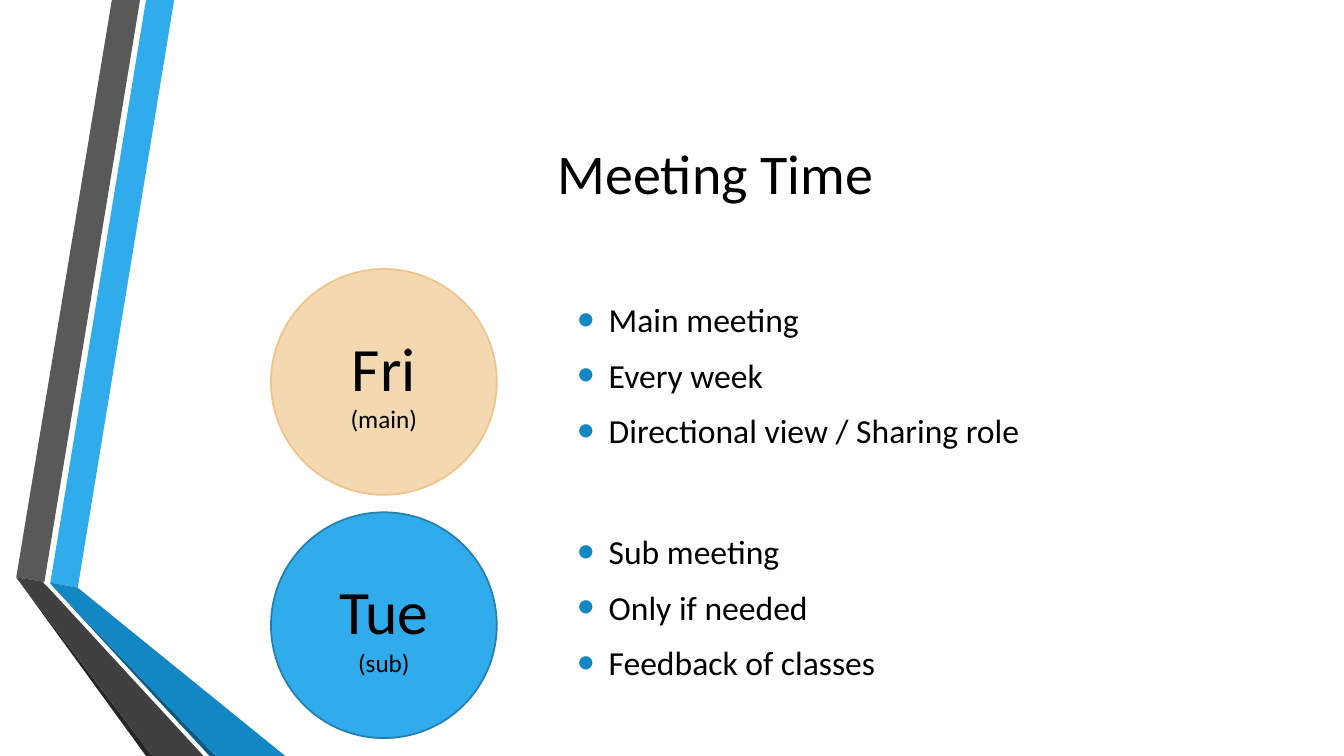
"""Build the Meeting Time slide with two day circles and their notes."""
from dataclasses import dataclass

from lxml import etree
from pptx import Presentation
from pptx.dml.color import RGBColor
from pptx.enum.shapes import MSO_SHAPE
from pptx.enum.text import MSO_ANCHOR, PP_ALIGN
from pptx.oxml.ns import qn
from pptx.util import Cm, Pt

OVAL = MSO_SHAPE.OVAL
MIDDLE = MSO_ANCHOR.MIDDLE
CENTER = PP_ALIGN.CENTER
LEFT = PP_ALIGN.LEFT


@dataclass(frozen=True)
class Theme:
    """Hold the font, colours and type sizes of the slide."""
    font: str = "Calibri"
    text: str = "000000"
    sky: str = "30ACEC"
    sky_edge: str = "247FAF"
    blue: str = "1287C3"
    navy: str = "0C5A82"
    sand: str = "F3D8B2"
    sand_edge: str = "EEC48B"
    gray: str = "595959"
    charcoal: str = "404040"
    coal: str = "262626"
    title_size: float = 40
    day_size: float = 44
    role_size: float = 18
    note_size: float = 24


THEME = Theme()
SLIDE_WIDTH, SLIDE_HEIGHT = 33.87, 19.05
TITLE = "Meeting Time"
TITLE_BOX = (4.11, 1.9, 27.84, 4.88)
MEETINGS = [
    {"day": "Fri", "role": "(main)", "fill": THEME.sand, "edge": THEME.sand_edge,
     "notes_top": 7.06,
     "notes": ["Main meeting", "Every week", "Directional view / Sharing role"]},
    {"day": "Tue", "role": "(sub)", "fill": THEME.sky, "edge": THEME.sky_edge,
     "notes_top": 12.9,
     "notes": ["Sub meeting", "Only if needed", "Feedback of classes"]},
]
CIRCLE_LEFT, CIRCLE_TOP, CIRCLE_SIZE, CIRCLE_PITCH = 6.83, 6.78, 5.69, 6.13
NOTES_LEFT, NOTES_WIDTH, NOTES_HEIGHT, NOTES_INDENT = 14.3, 18.08, 4.78, 0.79
RIBBONS = [
    (THEME.sky, [(1.27, 14.68), (1.96, 14.81), (4.39, 0), (3.68, 0)]),
    (THEME.gray, [(3.53, 0), (2.82, 0), (0.41, 14.55), (1.12, 14.66)]),
    (THEME.coal, [(0.41, 14.55), (3.68, SLIDE_HEIGHT), (3.84, SLIDE_HEIGHT)]),
    (THEME.navy, [(1.27, 14.71), (5.28, SLIDE_HEIGHT), (5.44, SLIDE_HEIGHT)]),
    (THEME.blue, [(1.27, 14.68), (1.27, 14.71), (5.44, SLIDE_HEIGHT),
                  (7.19, SLIDE_HEIGHT), (1.96, 14.81)]),
    (THEME.charcoal, [(5.13, SLIDE_HEIGHT), (1.22, 14.81), (1.09, 14.68),
                      (1.12, 14.66), (0.41, 14.55), (3.84, SLIDE_HEIGHT)]),
]


def paint(shape, color):
    """Give a shape a plain fill without shadow."""
    shape.shadow.inherit = False
    shape.fill.solid()
    shape.fill.fore_color.rgb = RGBColor.from_string(color)


def write(para, text, size, alignment):
    """Set the text, alignment and font of a paragraph."""
    para.text = text
    para.alignment = alignment
    para.font.name = THEME.font
    para.font.size = Pt(size)
    para.font.color.rgb = RGBColor.from_string(THEME.text)


def add_bullet(para):
    """Give a paragraph a hanging indent and a coloured bullet."""
    para.space_before = Pt(THEME.note_size * 0.2)
    para.space_after = Pt(6)
    properties = para._p.get_or_add_pPr()
    properties.set("marL", str(Cm(NOTES_INDENT)))
    properties.set("indent", str(-Cm(NOTES_INDENT)))
    color = etree.SubElement(properties, qn("a:buClr"))
    etree.SubElement(color, qn("a:srgbClr"), val=THEME.blue)
    etree.SubElement(properties, qn("a:buSzPct"), val="145000")
    etree.SubElement(properties, qn("a:buFont"), typeface="Arial")
    etree.SubElement(properties, qn("a:buChar"), char="•")


def add_ribbon(page, color, points):
    """Draw one flat part of the folded ribbons."""
    corners = [(Cm(x), Cm(y)) for x, y in points]
    builder = page.shapes.build_freeform(*corners[0])
    builder.add_line_segments(corners[1:], close=True)
    ribbon = builder.convert_to_shape()
    paint(ribbon, color)
    ribbon.line.fill.background()


def add_circle(page, meeting, top):
    """Draw the circle that names the day and its role."""
    circle = page.shapes.add_shape(
        OVAL, Cm(CIRCLE_LEFT), Cm(top), Cm(CIRCLE_SIZE), Cm(CIRCLE_SIZE))
    paint(circle, meeting["fill"])
    circle.line.color.rgb = RGBColor.from_string(meeting["edge"])
    circle.line.width = Pt(1.25)
    frame = circle.text_frame
    frame.vertical_anchor = MIDDLE
    write(frame.paragraphs[0], meeting["day"], THEME.day_size, CENTER)
    write(frame.add_paragraph(), meeting["role"], THEME.role_size, CENTER)


def add_notes(page, meeting):
    """Write the bulleted notes beside a circle."""
    box = page.shapes.add_textbox(
        Cm(NOTES_LEFT), Cm(meeting["notes_top"]), Cm(NOTES_WIDTH), Cm(NOTES_HEIGHT))
    frame = box.text_frame
    frame.word_wrap = True
    frame.vertical_anchor = MIDDLE
    for index, note in enumerate(meeting["notes"]):
        para = frame.add_paragraph() if index else frame.paragraphs[0]
        add_bullet(para)
        write(para, note, THEME.note_size, LEFT)


def main():
    """Assemble and save the deck."""
    deck = Presentation()
    deck.slide_width, deck.slide_height = Cm(SLIDE_WIDTH), Cm(SLIDE_HEIGHT)
    page = deck.slides.add_slide(deck.slide_layouts.get_by_name("Title Only"))
    title = page.shapes.title
    title.left, title.top, title.width, title.height = map(Cm, TITLE_BOX)
    title.text_frame.vertical_anchor = MIDDLE
    write(title.text_frame.paragraphs[0], TITLE, THEME.title_size, CENTER)
    for color, points in RIBBONS:
        add_ribbon(page, color, points)
    for index, meeting in enumerate(MEETINGS):
        add_circle(page, meeting, CIRCLE_TOP + index * CIRCLE_PITCH)
        add_notes(page, meeting)
    deck.save("out.pptx")


if __name__ == "__main__":
    main()
